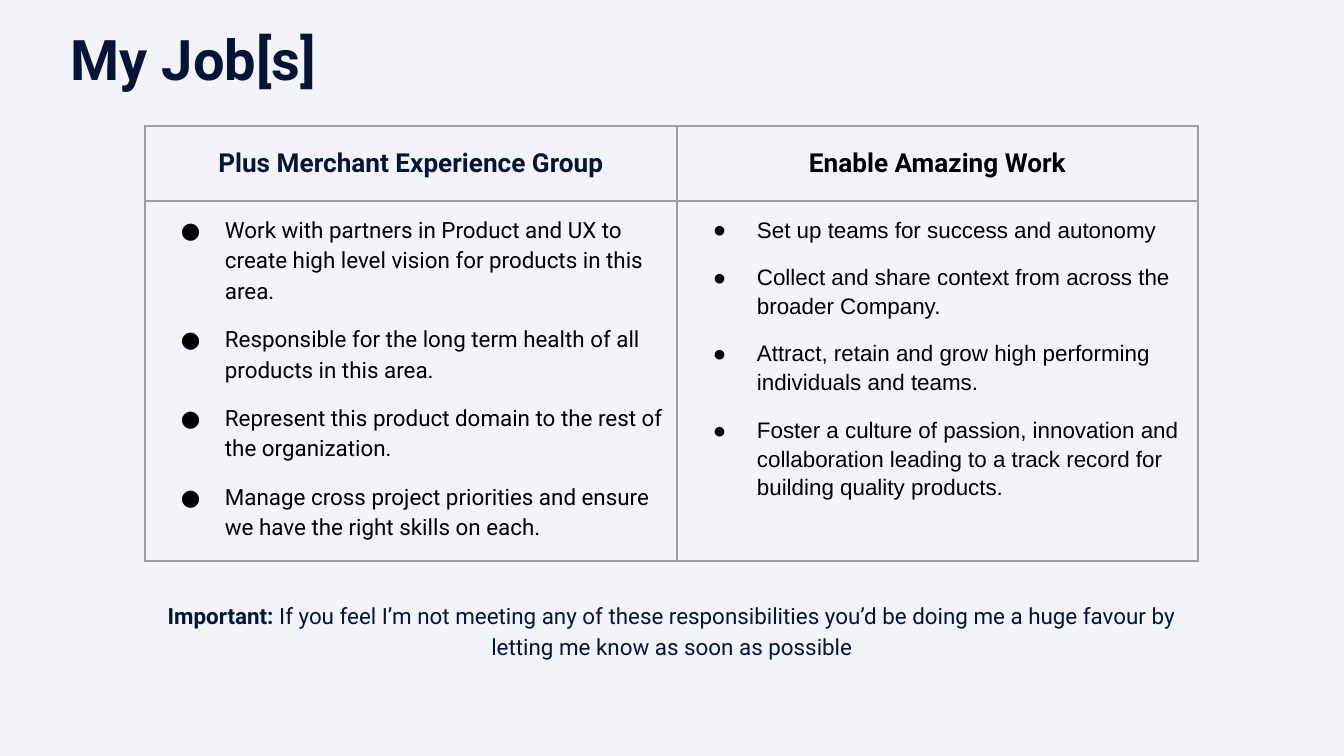
from dataclasses import dataclass

from lxml.etree import SubElement
from pptx import Presentation
from pptx.dml.color import RGBColor
from pptx.enum.text import MSO_ANCHOR, PP_ALIGN
from pptx.oxml.ns import qn
from pptx.util import Pt

SCALE = 914400 / 134.4  # EMU in one px


def px(num):
    return round(num * SCALE)


@dataclass(frozen=True)
class Theme:
    back: str = "F3F4FA"
    navy: str = "071436"
    black: str = "000000"
    rule: str = "9E9E9E"
    font: str = "Roboto"
    plain: str = "Arial"
    title: int = 30
    head: int = 14
    body: int = 12
    lead: float = 1.15
    gap: int = 10


class Deck:
    def __init__(self, theme, width, height):
        self.theme = theme
        self.file = Presentation()
        self.file.slide_width, self.file.slide_height = px(width), px(height)
        self.slide = self.file.slides.add_slide(self.file.slide_layouts[6])
        fill = self.slide.background.fill
        fill.solid()
        fill.fore_color.rgb = RGBColor.from_string(theme.back)

    def style(self, para, size, color, bold=None, face=None):
        font = para.font
        font.name, font.size, font.bold = face or self.theme.font, Pt(size), bold
        font.color.rgb = RGBColor.from_string(color)

    def indent(self, para, left, first):
        props = para._p.get_or_add_pPr()
        props.set("marL", str(px(left)))
        props.set("indent", str(px(first)))
        return props

    def box(self, left, top, width, height):
        frame = self.slide.shapes.add_textbox(
            px(left), px(top), px(width), px(height)).text_frame
        frame.word_wrap = True
        frame.margin_left = frame.margin_right = px(4)
        frame.margin_top = frame.margin_bottom = px(4)
        return frame

    def title(self, text, *place):
        frame = self.box(*place)
        frame.vertical_anchor = MSO_ANCHOR.MIDDLE
        para = frame.paragraphs[0]
        para.text = text
        self.indent(para, 0, 67)
        self.style(para, self.theme.title, self.theme.navy, True)

    def note(self, label, text, *place):
        para = self.box(*place).paragraphs[0]
        para.alignment = PP_ALIGN.CENTER
        para.line_spacing = self.theme.lead
        self.style(para, self.theme.body, self.theme.navy)
        for part, bold in ((label, True), (text, False)):
            run = para.add_run()
            run.text, run.font.bold = part, bold

    def table(self, left, top, widths, heights):
        grid = self.slide.shapes.add_table(
            len(heights), len(widths), px(left), px(top),
            px(sum(widths)), px(sum(heights))).table
        grid.first_row = grid.horz_banding = False
        for col, width in zip(grid.columns, widths):
            col.width = px(width)
        for row, height in zip(grid.rows, heights):
            row.height = px(height)
        for cell in grid.iter_cells():
            cell.margin_left = cell.margin_right = px(13)
            cell.margin_top = cell.margin_bottom = px(13)
            self.border(cell)
            cell.fill.background()
        return grid

    def border(self, cell):
        props = cell._tc.get_or_add_tcPr()
        for side in ("lnL", "lnR", "lnT", "lnB"):
            line = SubElement(props, qn(f"a:{side}"), w=str(Pt(0.75)))
            fill = SubElement(line, qn("a:solidFill"))
            SubElement(fill, qn("a:srgbClr"), val=self.theme.rule)

    def head(self, cell, text, color):
        cell.vertical_anchor = MSO_ANCHOR.MIDDLE
        para = cell.text_frame.paragraphs[0]
        para.text, para.alignment = text, PP_ALIGN.CENTER
        self.style(para, self.theme.head, color, True)

    def bullets(self, cell, items, face):
        frame = cell.text_frame
        frame.text = "\n".join(items)
        for spot, para in enumerate(frame.paragraphs):
            para.line_spacing = self.theme.lead
            para.space_before = Pt(self.theme.gap if spot else 0)
            if spot == len(items) - 1:
                para.space_after = Pt(self.theme.gap)
            props = self.indent(para, 67, -44)
            tint = SubElement(props, qn("a:buClr"))
            SubElement(tint, qn("a:srgbClr"), val=self.theme.black)
            SubElement(props, qn("a:buFont"), typeface=face)
            SubElement(props, qn("a:buChar"), char="●")
            self.style(para, self.theme.body, self.theme.black, False, face)


def main():
    theme = Theme()
    deck = Deck(theme, 1344, 756)
    deck.title("My Job[s]", 0, 0, 1344, 117)
    jobs = (
        ("Plus Merchant Experience Group", theme.navy, theme.font, (
            "Work with partners in Product and UX to create high level vision "
            "for products in this area.",
            "Responsible for the long term health of all products in this area.",
            "Represent this product domain to the rest of the organization.",
            "Manage cross project priorities and ensure we have the right "
            "skills on each.")),
        ("Enable Amazing Work", theme.black, theme.plain, (
            "Set up teams for success and autonomy",
            "Collect and share context from across the broader Company.",
            "Attract, retain and grow high performing individuals and teams.",
            "Foster a culture of passion, innovation and collaboration leading "
            "to a track record for building quality products.")),
    )
    grid = deck.table(145, 126, (532, 521), (75, 354))
    for col, (name, color, face, items) in enumerate(jobs):
        deck.head(grid.cell(0, col), name, color)
        deck.bullets(grid.cell(1, col), items, face)
    deck.note(
        "Important:",
        " If you feel I’m not meeting any of these responsibilities you’d be "
        "doing me a huge favour by letting me know as soon as possible",
        140, 594, 1064, 112)
    deck.file.save("out.pptx")


if __name__ == "__main__":
    main()
